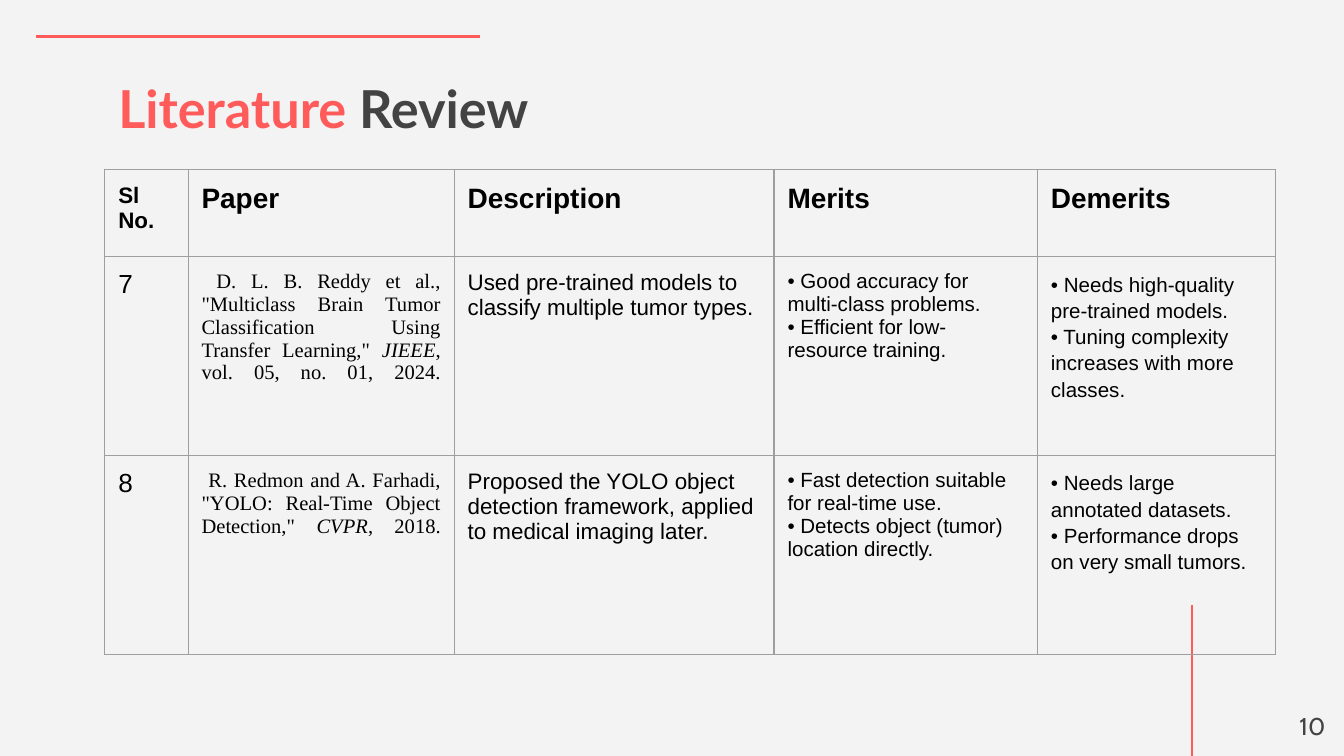
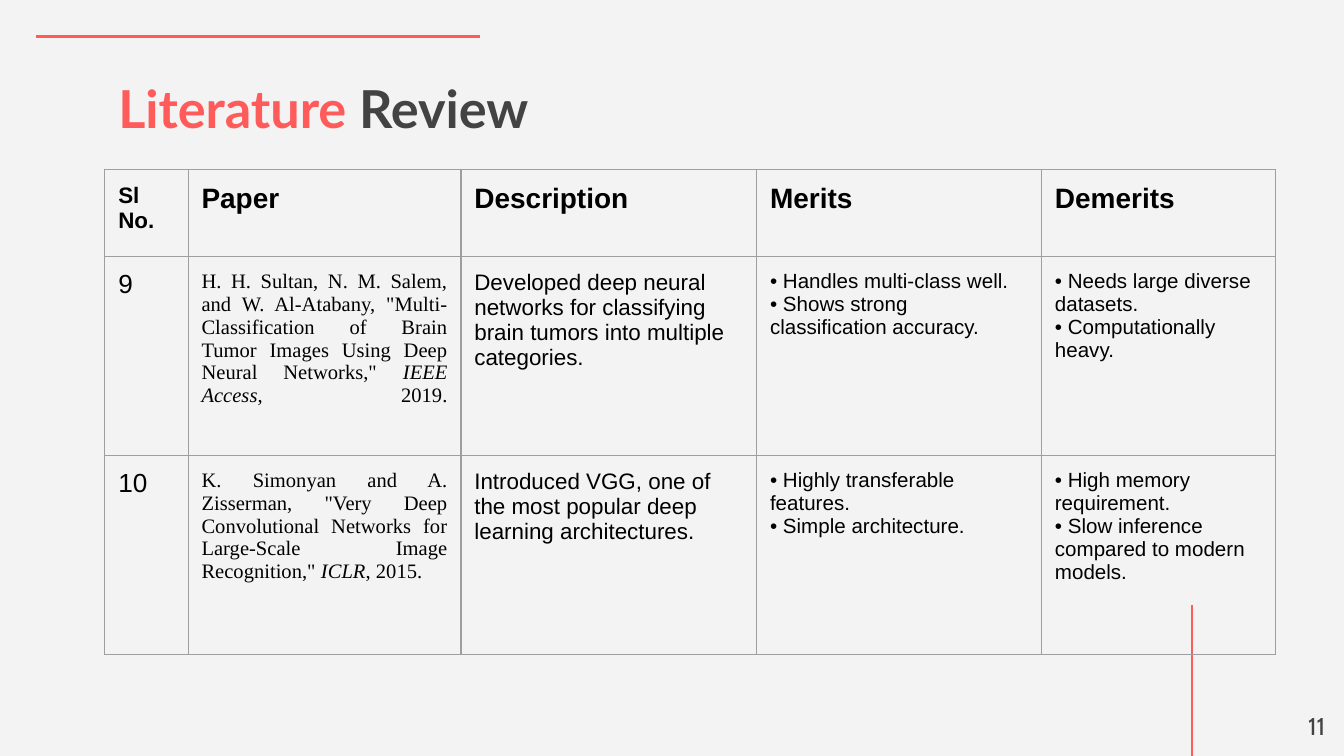
from lxml import etree
from pptx import Presentation
from pptx.dml.color import RGBColor
from pptx.enum.shapes import MSO_CONNECTOR
from pptx.enum.text import MSO_ANCHOR, MSO_AUTO_SIZE, PP_ALIGN
from pptx.oxml.ns import qn
from pptx.util import Inches, Pt

STRAIGHT = MSO_CONNECTOR.STRAIGHT
TOP = MSO_ANCHOR.TOP
NO_FIT = MSO_AUTO_SIZE.NONE
LEFT, RIGHT, JUSTIFY = PP_ALIGN.LEFT, PP_ALIGN.RIGHT, PP_ALIGN.JUSTIFY

CORAL = RGBColor(0xFF, 0x5B, 0x5B)
DARK = RGBColor(0x43, 0x43, 0x43)
BLACK = RGBColor(0, 0, 0)
GRID = RGBColor(0x9E, 0x9E, 0x9E)
PAPER = RGBColor(0xF3, 0xF3, 0xF3)

SLIDE_W = Inches(10)
SLIDE_H = SLIDE_W * 9 // 16
CONTENT_X = 0.78
INSET = Inches(0.1)
ROW_HEIGHTS = [0.65, 1.48, 1.48]
HEADERS = ["Sl No.", "Paper", "Description", "Merits", "Demerits"]

# Each row: number, (lead, journal, tail) of the citation, description, merits, demerits
REVIEWS = [
    {
        "page": 10,
        "cols": [0.62, 1.98, 2.38, 1.96, 1.77],
        "demerit_spacing": 1.15,
        "rows": [
            ("7",
             (' D. L. B. Reddy et al., "Multiclass Brain Tumor Classification Using '
              'Transfer Learning," ', "JIEEE", ", vol. 05, no. 01, 2024.\n"),
             "Used pre-trained models to classify multiple tumor types.",
             ["Good accuracy for multi-class problems.",
              "Efficient for low-resource training."],
             ["Needs high-quality pre-trained models.",
              "Tuning complexity increases with more classes."]),
            ("8",
             (' R. Redmon and A. Farhadi, "YOLO: Real-Time Object Detection," ',
              "CVPR", ", 2018.\n"),
             "Proposed the YOLO object detection framework, applied to medical "
             "imaging later.",
             ["Fast detection suitable for real-time use.",
              "Detects object (tumor) location directly."],
             ["Needs large annotated datasets.",
              "Performance drops on very small tumors."]),
        ],
    },
    {
        "page": 11,
        "cols": [0.62, 2.03, 2.2, 2.12, 1.74],
        "demerit_spacing": None,
        "rows": [
            ("9",
             ('H. H. Sultan, N. M. Salem, and W. Al-Atabany, "Multi-Classification '
              'of Brain Tumor Images Using Deep Neural Networks," ',
              "IEEE Access", ", 2019.\n"),
             "Developed deep neural networks for classifying brain tumors into "
             "multiple categories.",
             ["Handles multi-class well.",
              "Shows strong classification accuracy."],
             ["Needs large diverse datasets.", "Computationally heavy."]),
            ("10",
             ('K. Simonyan and A. Zisserman, "Very Deep Convolutional Networks for '
              'Large-Scale Image Recognition," ', "ICLR", ", 2015."),
             "Introduced VGG, one of the most popular deep learning architectures.",
             ["Highly transferable features.", "Simple architecture."],
             ["High memory requirement.",
              "Slow inference compared to modern models."]),
        ],
    },
]


def add_run(p, text, size, font="Arial", color=BLACK, bold=False, italic=False):
    r = p.add_run()
    r.text = text
    r.font.size, r.font.name = Pt(size), font
    r.font.bold, r.font.italic = bold, italic
    r.font.color.rgb = color


def set_frame(tf):
    tf.margin_left = tf.margin_right = tf.margin_top = tf.margin_bottom = INSET
    tf.word_wrap = True
    tf.auto_size = NO_FIT
    tf.vertical_anchor = TOP


def add_rule(slide, x1, y1, x2, y2):
    line = slide.shapes.add_connector(STRAIGHT, x1, y1, x2, y2)
    line.line.color.rgb = CORAL
    line.line.width = Pt(1.5)
    etree.SubElement(line._element.spPr, qn("a:effectLst"))


def add_title(slide):
    sp = slide.shapes.title
    sp.left, sp.top = Inches(CONTENT_X), Inches(0.47)
    sp.width, sp.height = Inches(10 - 2 * CONTENT_X), Inches(0.51)
    set_frame(sp.text_frame)
    p = sp.text_frame.paragraphs[0]
    p.alignment = LEFT
    add_run(p, "Literature ", 28, "Lato", CORAL, bold=True)
    add_run(p, "Review", 28, "Lato", DARK, bold=True)


def add_page_number(slide, number):
    box = slide.shapes.add_textbox(Inches(9.36), Inches(5.19), Inches(0.6), Inches(0.43))
    set_frame(box.text_frame)
    p = box.text_frame.paragraphs[0]
    p.alignment = RIGHT
    add_run(p, str(number), 13, "Cabin", DARK)


def style_cell(cell):
    """Clear the fill, set even margins and draw a thin border on all sides."""
    cell.fill.background()
    cell.margin_left = cell.margin_right = cell.margin_top = cell.margin_bottom = INSET
    tc_pr = cell._tc.get_or_add_tcPr()
    for i, side in enumerate(("a:lnL", "a:lnR", "a:lnT", "a:lnB")):
        ln = etree.Element(qn(side), w=str(Pt(0.75)))
        fill = etree.SubElement(ln, qn("a:solidFill"))
        etree.SubElement(fill, qn("a:srgbClr"), val=str(GRID))
        tc_pr.insert(i, ln)


def write_text(cell, text, size, bold=False):
    add_run(cell.text_frame.paragraphs[0], text, size, bold=bold)


def add_closing_break(p, size):
    """End the paragraph with a line break as tall as its text."""
    p.add_line_break()
    sz = str(size * 100)
    etree.SubElement(p._p[-1], qn("a:rPr"), sz=sz)
    etree.SubElement(p._p, qn("a:endParaRPr"), sz=sz)


def write_citation(cell, citation):
    lead, journal, tail = citation
    p = cell.text_frame.paragraphs[0]
    p.alignment = JUSTIFY
    p.space_before = Pt(12)
    font = "Times New Roman"
    add_run(p, lead, 11, font)
    add_run(p, journal, 11, font, italic=True)
    add_run(p, tail.rstrip("\n"), 11, font)
    if tail.endswith("\n"):
        p.space_after = Pt(12)
        add_closing_break(p, 11)


def write_points(cell, points, spacing=None):
    tf = cell.text_frame
    for i, point in enumerate(points):
        p = tf.add_paragraph() if i else tf.paragraphs[0]
        p.line_spacing = spacing
        add_run(p, f"• {point}", 11)


def add_review_table(slide, review):
    cols = review["cols"]
    frame = slide.shapes.add_table(
        len(ROW_HEIGHTS), len(cols), Inches(CONTENT_X), Inches(1.26),
        Inches(sum(cols)), Inches(sum(ROW_HEIGHTS)))
    table = frame.table
    table.first_row = table.horz_banding = False
    for column, width in zip(table.columns, cols):
        column.width = Inches(width)
    for row, height in zip(table.rows, ROW_HEIGHTS):
        row.height = Inches(height)
    for cell in table.iter_cells():
        style_cell(cell)

    for i, header in enumerate(HEADERS):
        write_text(table.cell(0, i), header, 15 if i else 12, bold=True)
    for i, entry in enumerate(review["rows"], start=1):
        number, citation, description, merits, demerits = entry
        write_text(table.cell(i, 0), number, 14)
        write_citation(table.cell(i, 1), citation)
        write_text(table.cell(i, 2), description, 12)
        write_points(table.cell(i, 3), merits)
        write_points(table.cell(i, 4), demerits, review["demerit_spacing"])


def add_review_slide(prs, review):
    slide = prs.slides.add_slide(prs.slide_layouts.get_by_name("Title Only"))
    add_rule(slide, Inches(0.27), Inches(0.27), Inches(3.57), Inches(0.27))
    add_rule(slide, Inches(8.87), Inches(4.5), Inches(8.87), SLIDE_H)
    add_title(slide)
    add_review_table(slide, review)
    add_page_number(slide, review["page"])


def main():
    prs = Presentation()
    prs.slide_width, prs.slide_height = SLIDE_W, SLIDE_H
    fill = prs.slide_master.background.fill
    fill.solid()
    fill.fore_color.rgb = PAPER
    for review in REVIEWS:
        add_review_slide(prs, review)
    prs.save("out.pptx")


if __name__ == "__main__":
    main()
